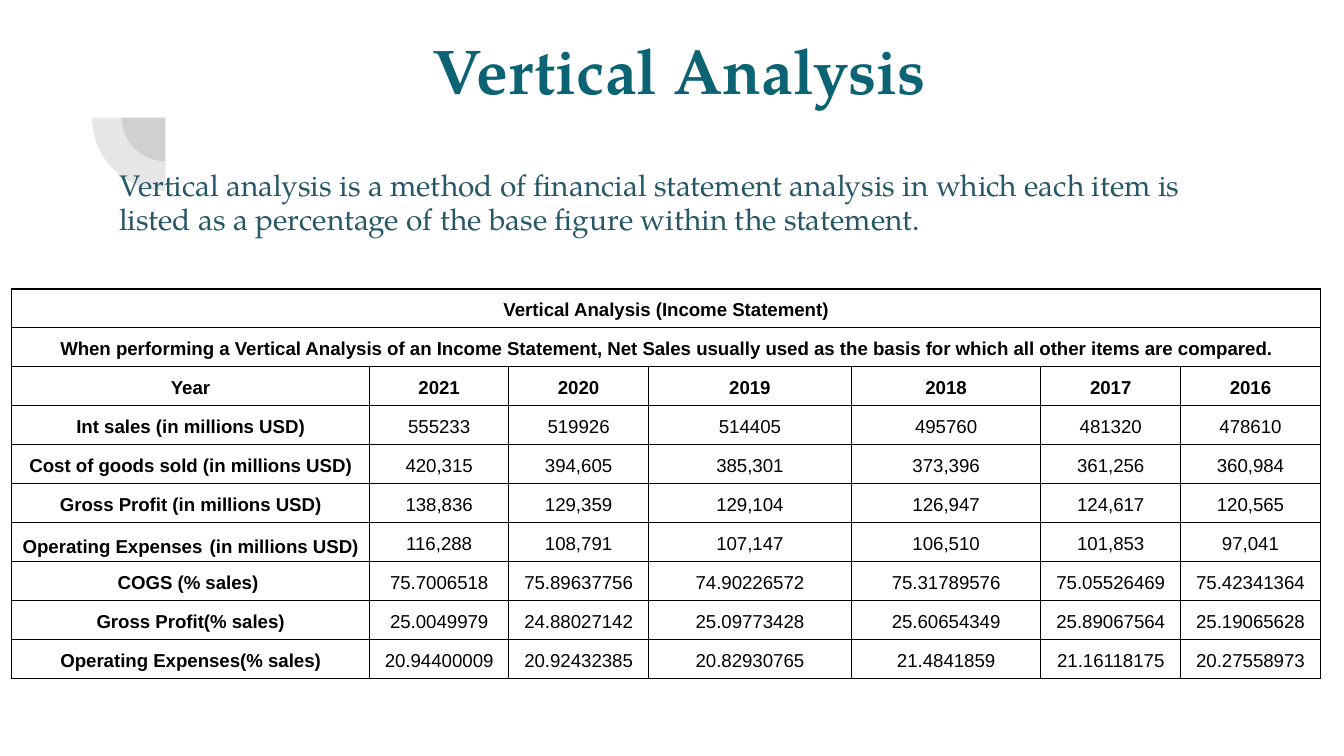
"""Build the slide on vertical analysis of an income statement."""
from lxml.etree import SubElement
from pptx import Presentation
from pptx.dml.color import RGBColor
from pptx.enum.shapes import MSO_SHAPE
from pptx.enum.text import MSO_ANCHOR, MSO_AUTO_SIZE, PP_ALIGN
from pptx.oxml.ns import qn
from pptx.util import Pt

PX = 4572
INK = {"title": "0B6374", "prose": "265768", "pie": "424242", "grid": "000000"}
SERIF, SANS = "TeX Gyre Pagella", "Arial"
FONTS = {
    "title": {"name": SERIF, "size": Pt(34), "bold": True},
    "prose": {"name": SERIF, "size": Pt(16), "bold": False},
    "head": {"name": SANS, "size": Pt(10), "bold": True},
    "cell": {"name": SANS, "size": Pt(10), "bold": False},
    "gap": {"name": SANS, "size": Pt(14), "bold": False},
}
FRAME = {"word_wrap": True, "auto_size": MSO_AUTO_SIZE.NONE, "vertical_anchor": MSO_ANCHOR.TOP}
FRAME |= {f"margin_{side}": 20 * PX for side in ("left", "top", "right", "bottom")}
CELL = {"margin_left": 6 * PX, "margin_right": 6 * PX, "margin_top": 4 * PX,
        "margin_bottom": 4 * PX, "vertical_anchor": MSO_ANCHOR.MIDDLE}
PROSE = ("Vertical analysis is a method of financial statement analysis in which each item "
         "is listed as a percentage of the base figure within the statement.")
BANNERS = [
    "Vertical Analysis (Income Statement)",
    "When performing a Vertical Analysis of an Income Statement, Net Sales usually used "
    "as the basis for which all other items are compared.",
]
ROWS = [
    ("Year", "2021 2020 2019 2018 2017 2016"),
    ("Int sales (in millions USD)", "555233 519926 514405 495760 481320 478610"),
    ("Cost of goods sold (in millions USD)", "420,315 394,605 385,301 373,396 361,256 360,984"),
    ("Gross Profit (in millions USD)", "138,836 129,359 129,104 126,947 124,617 120,565"),
    ("Operating Expenses| |(in millions USD)", "116,288 108,791 107,147 106,510 101,853 97,041"),
    ("COGS (% sales) ", "75.7006518 75.89637756 74.90226572 75.31789576 75.05526469 75.42341364"),
    ("Gross Profit(% sales)",
     "25.0049979 24.88027142 25.09773428 25.60654349 25.89067564 25.19065628"),
    ("Operating Expenses(% sales)",
     "20.94400009 20.92432385 20.82930765 21.4841859 21.16118175 20.27558973"),
]
COLS = [533, 207, 208, 302, 282, 208, 208]
ROW = 58


def scale(*box):
    """Turn px into EMU."""
    return [n * PX for n in box]


def apply(thing, values):
    """Set each value on the thing."""
    for key, value in values.items():
        setattr(thing, key, value)


def add_run(para, text, style, tint):
    """Add one run in a named style."""
    run = para.add_run()
    run.text = text
    apply(run.font, FONTS[style])
    run.font.color.rgb = RGBColor.from_string(INK[tint])


def write(shape, text, style, layout):
    """Fill a text shape with one paragraph."""
    apply(shape.text_frame, FRAME)
    para = shape.text_frame.paragraphs[0]
    apply(para, layout)
    add_run(para, text, style, style)


def draw_pies(slide, x, y, size):
    """Draw two nested quarter pies about one centre."""
    for inset in (44, 0):
        span = size - 2 * inset
        pie = slide.shapes.add_shape(MSO_SHAPE.PIE, *scale(x + inset, y + inset, span, span))
        pie.adjustments[0], pie.adjustments[1] = 107.93, 162
        pie.rotation = 270
        pie.shadow.inherit = False
        pie.line.fill.background()
        pie.fill.solid()
        pie.fill.fore_color.rgb = RGBColor.from_string(INK["pie"])
        tint = pie.fill._xPr.find(f".//{qn('a:srgbClr')}")
        SubElement(tint, qn("a:alpha"), val="13000")


def place_title(slide, x, y, w, h):
    """Place the title in its box."""
    title = slide.shapes.title
    apply(title, dict(zip(("left", "top", "width", "height"), scale(x, y, w, h))))
    write(title, "Vertical Analysis", "title",
          {"alignment": PP_ALIGN.CENTER, "line_spacing": 0.95})


def place_prose(slide, x, y, w, h):
    """Place the text below the title."""
    box = slide.shapes.add_textbox(*scale(x, y, w, h))
    write(box, PROSE, "prose", {"line_spacing": 0.95, "space_after": Pt(12)})


def frame_cell(cell):
    """Clear the fill and rule all four sides."""
    apply(cell, CELL)
    props = cell._tc.get_or_add_tcPr()
    for side in ("lnL", "lnR", "lnT", "lnB"):
        line = SubElement(props, qn(f"a:{side}"), w=str(Pt(0.75)))
        fill = SubElement(line, qn("a:solidFill"))
        SubElement(fill, qn("a:srgbClr"), val=INK["grid"])
    cell.fill.background()


def fill_cell(cell, text, style):
    """Write centred text, with a wide gap where marked."""
    para = cell.text_frame.paragraphs[0]
    apply(para, {"alignment": PP_ALIGN.CENTER, "line_spacing": 1.15})
    for part in text.split("|"):
        add_run(para, part, style if part.strip() else "gap", "grid")


def place_table(slide, x, y):
    """Place the table of banners, years and items."""
    count = len(BANNERS) + len(ROWS)
    frame = slide.shapes.add_table(count, len(COLS), *scale(x, y, sum(COLS), count * ROW))
    table = frame.table
    apply(table, {"first_row": False, "horz_banding": False})
    for col, width in zip(table.columns, COLS):
        col.width = width * PX
    for row in table.rows:
        row.height = ROW * PX
        for cell in row.cells:
            frame_cell(cell)
    for r, text in enumerate(BANNERS):
        table.cell(r, 0).merge(table.cell(r, len(COLS) - 1))
        fill_cell(table.cell(r, 0), text, "head")
    for r, (label, values) in enumerate(ROWS, len(BANNERS)):
        for c, text in enumerate([label, *values.split()]):
            bold = c == 0 or label == "Year"
            fill_cell(table.cell(r, c), text, "head" if bold else "cell")


def main():
    """Build and save the slide."""
    deck = Presentation()
    deck.slide_width, deck.slide_height = scale(2000, 1125)
    slide = deck.slides.add_slide(deck.slide_layouts[5])
    draw_pies(slide, 137, 66, 218)
    place_title(slide, 67, 34, 1888, 178)
    place_table(slide, 17, 430)
    place_prose(slide, 158, 232, 1706, 142)
    deck.save("out.pptx")


if __name__ == "__main__":
    main()
